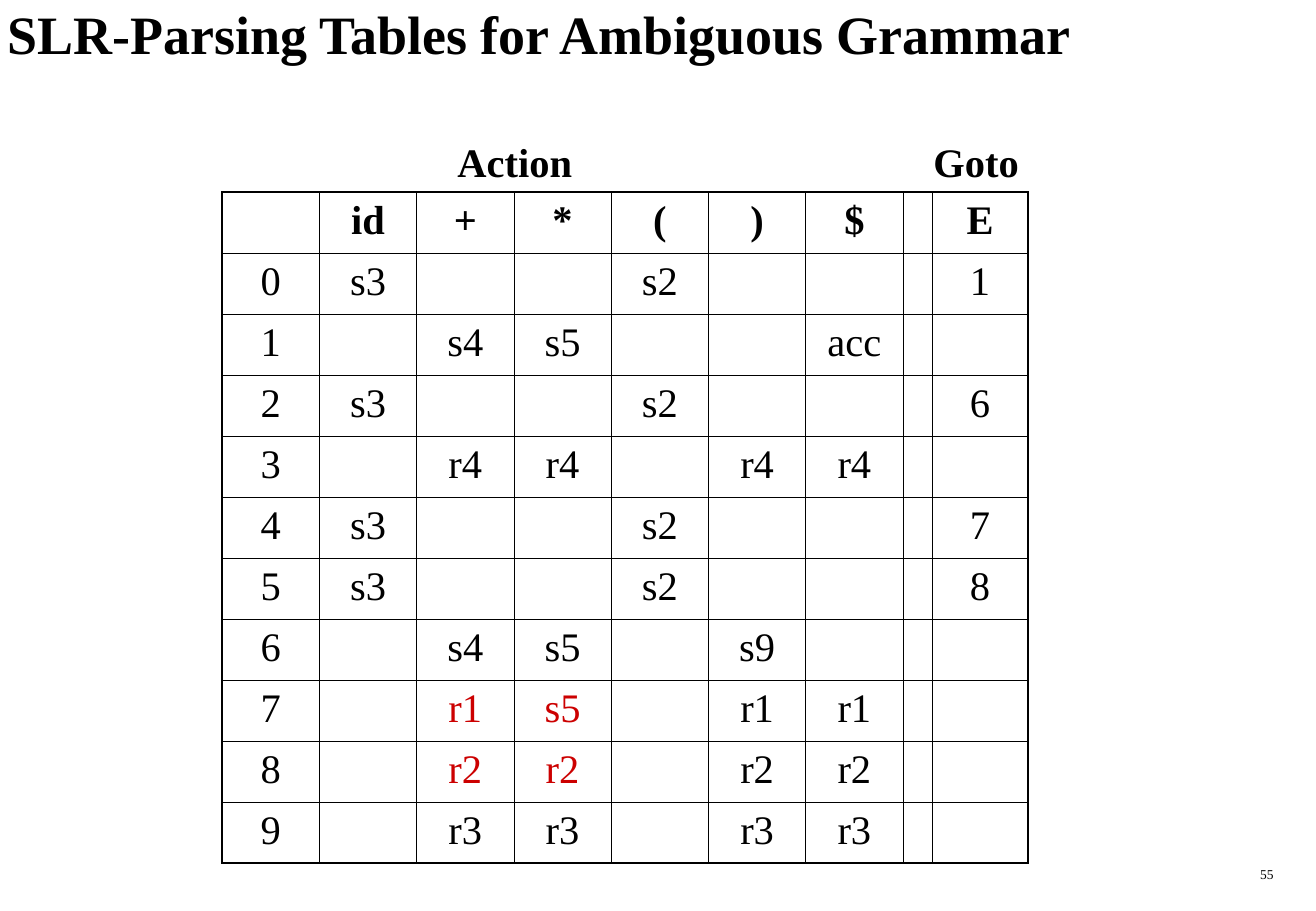
"""Build the slide showing SLR parsing tables for an ambiguous grammar."""
from lxml.etree import SubElement
from pptx import Presentation
from pptx.dml.color import RGBColor
from pptx.enum.text import MSO_ANCHOR, MSO_AUTO_SIZE, PP_ALIGN
from pptx.oxml.ns import qn
from pptx.util import Inches, Pt

FONT = "Times New Roman"
BLACK = RGBColor(0x00, 0x00, 0x00)
CONFLICT_RED = RGBColor(0xCC, 0x00, 0x00)
INNER_LINE, OUTER_LINE = Pt(0.45), Pt(1.08)


def format_text(text_frame, size, bold=False, color=BLACK, alignment=PP_ALIGN.CENTER):
    paragraph = text_frame.paragraphs[0]
    paragraph.alignment = alignment
    for run in paragraph.runs:
        run.font.name = FONT
        run.font.size = Pt(size)
        run.font.bold = bold
        run.font.color.rgb = color


def add_border(cell, side, width):
    line = SubElement(cell._tc.get_or_add_tcPr(), qn(f"a:ln{side}"), w=str(width))
    fill = SubElement(line, qn("a:solidFill"))
    SubElement(fill, qn("a:srgbClr"), val=str(BLACK))


presentation = Presentation()
presentation.slide_width = Inches(10.84)
presentation.slide_height = Inches(7.5)
slide = presentation.slides.add_slide(presentation.slide_layouts[6])

labels = [
    ("55", 8.33, 7.08, 2.26, 0.25, 8, False, PP_ALIGN.RIGHT, MSO_ANCHOR.TOP, True),
    ("SLR-Parsing Tables for Ambiguous Grammar", -0.68, -0.23, 10.25, 1, 32, True,
     PP_ALIGN.CENTER, MSO_ANCHOR.MIDDLE, True),
    ("Action", 3.67, 1.08, 1.15, 0.5, 24, True, PP_ALIGN.LEFT, MSO_ANCHOR.TOP, False),
    ("Goto", 7.59, 1.08, 0.91, 0.5, 24, True, PP_ALIGN.LEFT, MSO_ANCHOR.TOP, False),
]
for text, left, top, width, height, size, bold, alignment, anchor, wrap in labels:
    box = slide.shapes.add_textbox(Inches(left), Inches(top), Inches(width), Inches(height))
    box.text_frame.text = text
    box.text_frame.word_wrap = wrap
    box.text_frame.auto_size = MSO_AUTO_SIZE.NONE if wrap else MSO_AUTO_SIZE.SHAPE_TO_FIT_TEXT
    box.text_frame.vertical_anchor = anchor
    format_text(box.text_frame, size, bold, alignment=alignment)

parsing_rows = [
    ["", "id", "+", "*", "(", ")", "$", "", "E"],
    ["0", "s3", "", "", "s2", "", "", "", "1"],
    ["1", "", "s4", "s5", "", "", "acc", "", ""],
    ["2", "s3", "", "", "s2", "", "", "", "6"],
    ["3", "", "r4", "r4", "", "r4", "r4", "", ""],
    ["4", "s3", "", "", "s2", "", "", "", "7"],
    ["5", "s3", "", "", "s2", "", "", "", "8"],
    ["6", "", "s4", "s5", "", "s9", "", "", ""],
    ["7", "", "r1", "s5", "", "r1", "r1", "", ""],
    ["8", "", "r2", "r2", "", "r2", "r2", "", ""],
    ["9", "", "r3", "r3", "", "r3", "r3", "", ""],
]
conflict_states = ("7", "8")
conflict_columns = (2, 3)
table_width, gap_width, goto_width = 6.64, 0.24, 0.79
action_width = (table_width - gap_width - goto_width) / 7
column_widths = [action_width] * 7 + [gap_width, goto_width]
last_row, last_column = len(parsing_rows) - 1, len(column_widths) - 1

table = slide.shapes.add_table(
    len(parsing_rows), len(column_widths),
    Inches(1.83), Inches(1.58), Inches(table_width), Inches(5.53),
).table
table.first_row = False
table.horz_banding = False
for column, width in zip(table.columns, column_widths):
    column.width = Inches(width)

for row_index, entries in enumerate(parsing_rows):
    for column_index, entry in enumerate(entries):
        cell = table.cell(row_index, column_index)
        cell.text_frame.text = entry
        is_conflict = entries[0] in conflict_states and column_index in conflict_columns
        format_text(cell.text_frame, 24, row_index == 0, CONFLICT_RED if is_conflict else BLACK)
        outer_sides = {
            "L": column_index == 0,
            "R": column_index == last_column,
            "T": row_index == 0,
            "B": row_index == last_row,
        }
        for side, is_outer in outer_sides.items():
            add_border(cell, side, OUTER_LINE if is_outer else INNER_LINE)
        cell.fill.background()

presentation.save("out.pptx")
